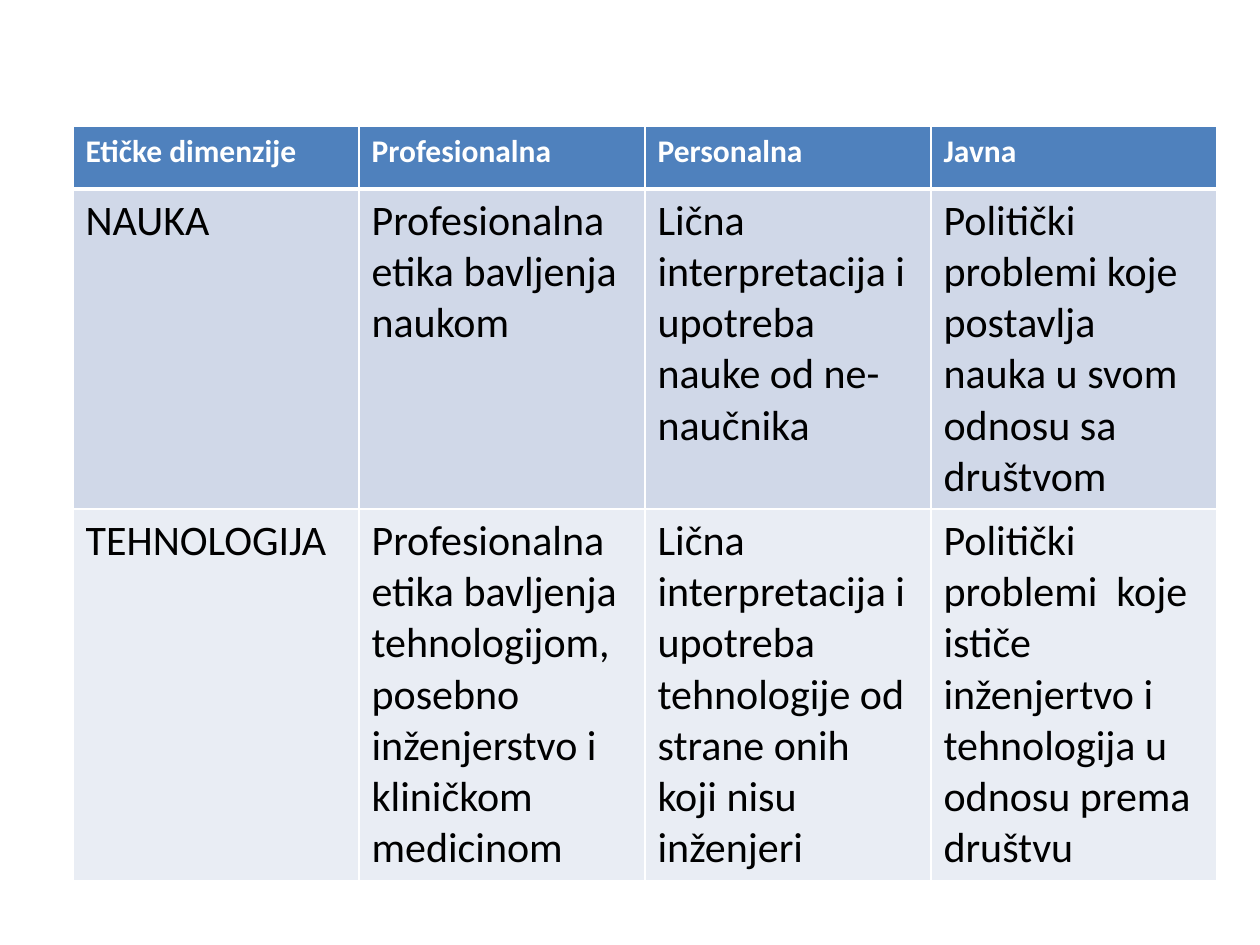
from dataclasses import dataclass

from lxml import etree
from pptx import Presentation, util as u
from pptx.dml import color
from pptx.oxml import ns

SCALE = 914400 / 126


@dataclass(frozen=True)
class Theme:
    """Colours, font and type sizes of the slide."""
    font: str = "Calibri"
    head: int = 18
    body: int = 24
    light: str = "FFFFFF"
    dark: str = "000000"
    blue: str = "4F81BD"
    bands: tuple = ("D0D8E8", "E9EDF4")


def px(n):
    """Turn px into EMU."""
    return u.Emu(round(n * SCALE))


def write(frame, text, *, font, size, ink, bold=False):
    """Put formatted text into a frame."""
    run = frame.paragraphs[0].add_run()
    run.text = text
    run.font.name, run.font.size, run.font.bold = font, u.Pt(size), bold
    run.font.color.rgb = color.RGBColor.from_string(ink)


class Deck:
    """Hold the style and the current slide."""

    def __init__(self, theme):
        """Open a deck with one blank slide."""
        self.theme = theme
        self.file = Presentation()
        self.file.slide_width, self.file.slide_height = px(1260), px(945)
        self.slide = self.file.slides.add_slide(self.file.slide_layouts[6])

    def edge(self, cell, base):
        """Draw the four borders of a cell, in points."""
        props = cell._tc.get_or_add_tcPr()
        sides = {"lnL": 1, "lnR": 1, "lnT": 1, "lnB": base}
        for spot, (side, width) in enumerate(sides.items()):
            line = etree.Element(ns.qn(f"a:{side}"), w=str(u.Pt(width)))
            fill = etree.SubElement(line, ns.qn("a:solidFill"))
            etree.SubElement(fill, ns.qn("a:srgbClr"), val=self.theme.light)
            props.insert(spot, line)

    def cell(self, cell, text, row):
        """Fill and style one table cell."""
        t, head = self.theme, row == 0
        cell.fill.solid()
        shade = t.blue if head else t.bands[(row - 1) % len(t.bands)]
        cell.fill.fore_color.rgb = color.RGBColor.from_string(shade)
        self.edge(cell, 3 if head else 1)
        write(cell.text_frame, text, font=t.font, bold=head,
              size=t.head if head else t.body, ink=t.light if head else t.dark)

    def table(self, rows, left, top, width, height, tall):
        """Add a table with equal columns and the given row heights."""
        grid = self.slide.shapes.add_table(
            len(rows), len(rows[0]), px(left), px(top), px(width), px(height)).table
        for r, (line, high) in enumerate(zip(rows, tall)):
            grid.rows[r].height = px(high)
            for c, text in enumerate(line):
                self.cell(grid.cell(r, c), text, r)


ETHICS = [
    ("Etičke dimenzije", "Profesionalna", "Personalna", "Javna"),
    ("NAUKA",
     "Profesionalna etika bavljenja naukom",
     "Lična interpretacija i upotreba nauke od ne-naučnika",
     "Politički problemi koje postavlja nauka u svom odnosu sa društvom"),
    ("TEHNOLOGIJA",
     "Profesionalna etika bavljenja tehnologijom, posebno inženjerstvo i kliničkom medicinom",
     "Lična interpretacija i upotreba tehnologije od strane onih koji nisu inženjeri",
     "Politički problemi  koje ističe inženjertvo i tehnologija u odnosu prema društvu"),
]


def main():
    """Build and save the slide."""
    deck = Deck(Theme())
    deck.table(ETHICS, 73, 126, 1144, 743, (63, 248, 340))
    deck.file.save("out.pptx")


if __name__ == "__main__":
    main()
